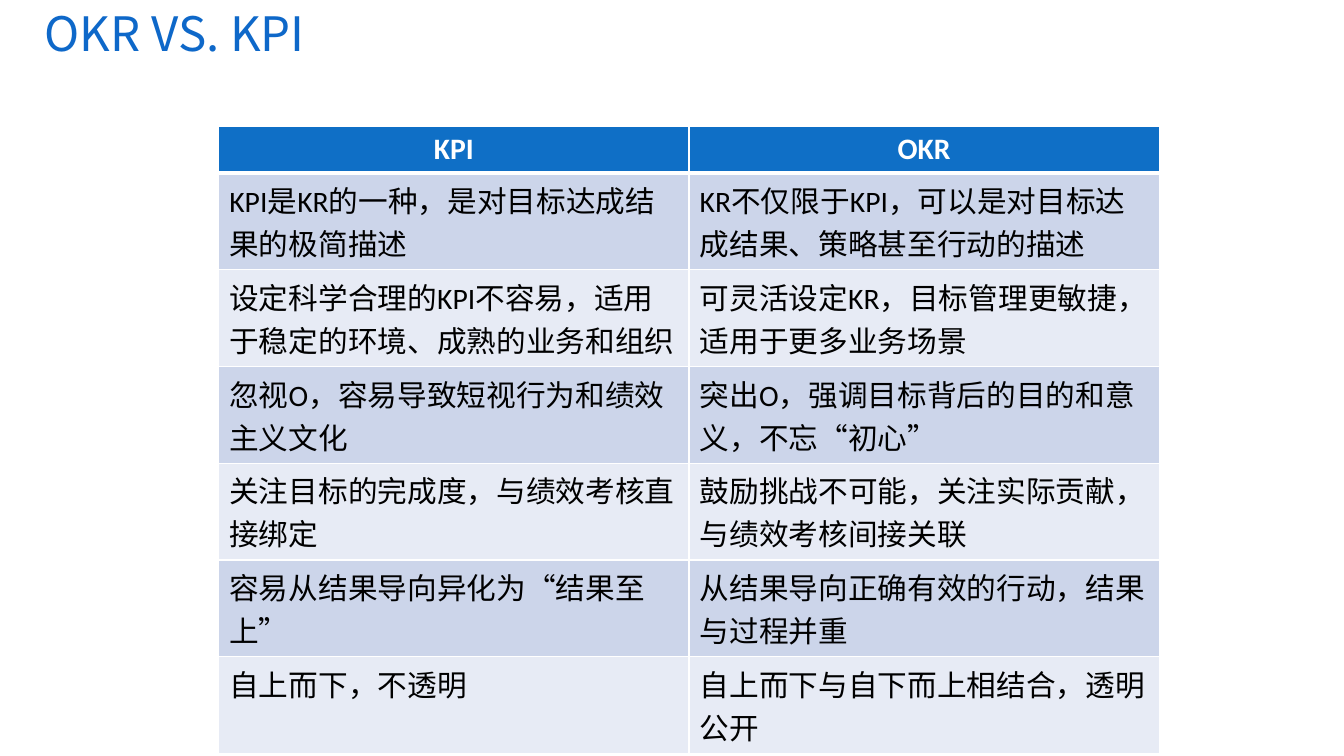
from lxml.etree import SubElement
from pptx import Presentation
from pptx.dml.color import RGBColor
from pptx.enum.text import MSO_ANCHOR, MSO_AUTO_SIZE, PP_ALIGN
from pptx.oxml.ns import qn
from pptx.util import Pt

TITLE_BLUE = RGBColor(0x0E, 0x68, 0xC9)
HEADER_BLUE = RGBColor(0x0F, 0x6F, 0xC6)
BAND_DARK = RGBColor(0xCC, 0xD5, 0xEA)
BAND_LIGHT = RGBColor(0xE7, 0xEB, 0xF5)
WHITE = RGBColor(0xFF, 0xFF, 0xFF)
BLACK = RGBColor(0x00, 0x00, 0x00)

COMPARISON = [
    ("KPI", "OKR"),
    ("KPI是KR的一种，是对目标达成结果的极简描述",
     "KR不仅限于KPI，可以是对目标达成结果、策略甚至行动的描述"),
    ("设定科学合理的KPI不容易，适用于稳定的环境、成熟的业务和组织",
     "可灵活设定KR，目标管理更敏捷，适用于更多业务场景"),
    ("忽视O，容易导致短视行为和绩效主义文化",
     "突出O，强调目标背后的目的和意义，不忘“初心”"),
    ("关注目标的完成度，与绩效考核直接绑定",
     "鼓励挑战不可能，关注实际贡献，与绩效考核间接关联"),
    ("容易从结果导向异化为“结果至上”",
     "从结果导向正确有效的行动，结果与过程并重"),
    ("自上而下，不透明",
     "自上而下与自下而上相结合，透明公开"),
]


class SlideBuilder:
    latin_font = "Calibri"
    chinese_font = "Noto Sans CJK SC"

    def __init__(self, presentation):
        self.slide = presentation.slides.add_slide(presentation.slide_layouts[5])

    def style(self, paragraph, size, color, bold, name):
        font = paragraph.font
        font.size, font.bold, font.name = Pt(size), bold, name
        font.color.rgb = color
        properties = paragraph._p.pPr.find(qn("a:defRPr"))
        SubElement(properties, qn("a:ea"), typeface=self.chinese_font)

    def title(self, text, left, top, width, height):
        shape = self.slide.shapes.title
        shape.left, shape.top = Pt(left), Pt(top)
        shape.width, shape.height = Pt(width), Pt(height)
        frame = shape.text_frame
        frame.text = text
        frame.auto_size = MSO_AUTO_SIZE.NONE
        frame.vertical_anchor = MSO_ANCHOR.TOP
        frame.margin_top = Pt(2)
        paragraph = frame.paragraphs[0]
        paragraph.alignment = PP_ALIGN.LEFT
        paragraph.line_spacing = 0.9
        self.style(paragraph, 32, TITLE_BLUE, False, self.chinese_font)

    def borders(self, cell, widths):
        properties = cell._tc.get_or_add_tcPr()
        for side, width in zip("LRTB", widths):
            line = SubElement(properties, qn(f"a:ln{side}"), w=str(Pt(width)))
            fill = SubElement(line, qn("a:solidFill"))
            SubElement(fill, qn("a:srgbClr"), val=str(WHITE))

    def cell(self, cell, text, row_index):
        header = row_index == 0
        top = 3 if row_index == 1 else 1
        self.borders(cell, (1, 1, top, 3 if header else 1))
        cell.fill.solid()
        band = BAND_DARK if row_index % 2 else BAND_LIGHT
        cell.fill.fore_color.rgb = HEADER_BLUE if header else band
        cell.text = text
        paragraph = cell.text_frame.paragraphs[0]
        paragraph.alignment = PP_ALIGN.CENTER if header else PP_ALIGN.LEFT
        self.style(paragraph, 20, WHITE if header else BLACK, header, self.latin_font)

    def table(self, rows, left, top, width, row_height):
        frame = self.slide.shapes.add_table(
            len(rows), len(rows[0]), Pt(left), Pt(top), Pt(width),
            Pt(row_height * len(rows)))
        for row_index, texts in enumerate(rows):
            for column_index, text in enumerate(texts):
                self.cell(frame.table.cell(row_index, column_index), text, row_index)


def main():
    presentation = Presentation()
    presentation.slide_width = Pt(907.2)
    presentation.slide_height = Pt(510.5)
    builder = SlideBuilder(presentation)
    builder.title("OKR VS. KPI", 23, 5, 667.4, 51)
    builder.table(COMPARISON, 147.6, 85.2, 635, 29.6)
    presentation.save("out.pptx")


if __name__ == "__main__":
    main()
